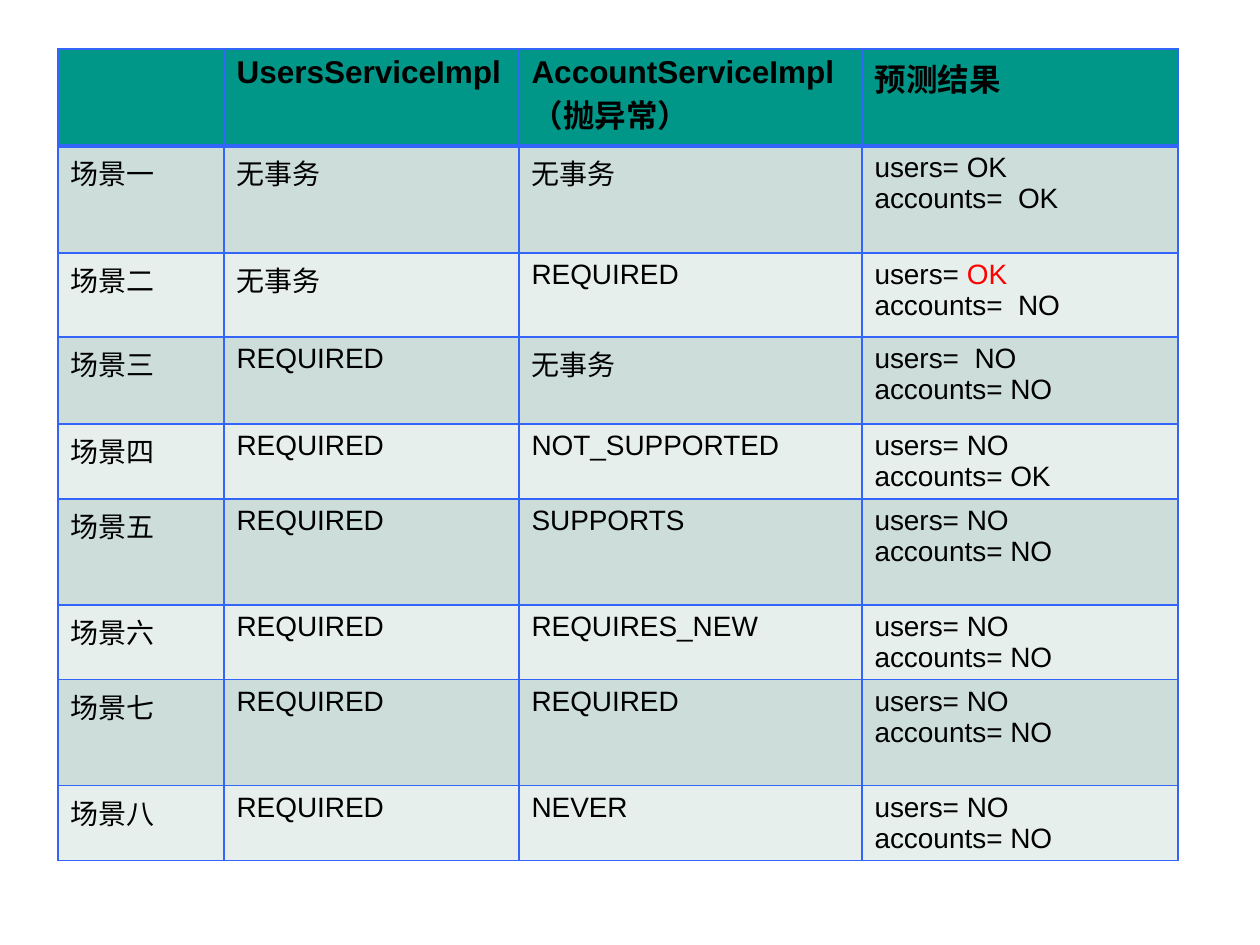
from lxml import etree
from pptx import Presentation
from pptx.dml.color import RGBColor
from pptx.oxml.ns import qn
from pptx.util import Emu, Pt

EMU_PER_PIXEL = 914400 // 126
BLANK_LAYOUT = 6
COLORS = {
    "header": "009688",
    "odd": "CCDDDA",
    "even": "E7EFED",
    "border": "3365FB",
    "text": "000000",
    "alert": "FF0000",
}
ALERT_MARK = "|"  # text after the mark is shown in the alert colour

COLUMN_WIDTHS = [166, 295, 343, 316]
ROW_HEIGHTS = [97, 107, 84, 87, 75, 106, 75, 106, 75]
HEADER = ["", "UsersServiceImpl", "AccountServiceImpl（抛异常）", "预测结果"]
SCENARIOS = [
    ("一", "无事务", "无事务", " OK", "  OK"),
    ("二", "无事务", "REQUIRED", "| OK", "  NO"),
    ("三", "REQUIRED", "无事务", "  NO", " NO"),
    ("四", "REQUIRED", "NOT_SUPPORTED", " NO", " OK"),
    ("五", "REQUIRED", "SUPPORTS", " NO", " NO"),
    ("六", "REQUIRED", "REQUIRES_NEW", " NO", " NO"),
    ("七", "REQUIRED", "REQUIRED", " NO", " NO"),
    ("八", "REQUIRED", "NEVER", " NO", " NO"),
]


def px(pixels):
    return Emu(pixels * EMU_PER_PIXEL)


class SlideBuilder:
    font = "Arial"
    header_size = 18
    body_size = 16
    thin = 1
    thick = 3

    def __init__(self, slide):
        self.slide = slide

    def table(self, left, top, widths, heights, rows):
        frame = self.slide.shapes.add_table(
            len(rows), len(widths), px(left), px(top), px(sum(widths)), px(sum(heights)))
        table = frame.table
        for column, width in zip(table.columns, widths):
            column.width = px(width)
        for index, (row, height, texts) in enumerate(zip(table.rows, heights, rows)):
            row.height = px(height)
            for cell, text in zip(row.cells, texts):
                self.cell(cell, text, index)

    def cell(self, cell, text, row_index):
        is_header = row_index == 0
        # Borders come before the fill in the cell properties
        self.border(cell, "lnL", self.thin)
        self.border(cell, "lnR", self.thin)
        self.border(cell, "lnT", self.thick if row_index == 1 else self.thin)
        self.border(cell, "lnB", self.thick if is_header else self.thin)
        fill = "header" if is_header else "odd" if row_index % 2 else "even"
        cell.fill.solid()
        cell.fill.fore_color.rgb = RGBColor.from_string(COLORS[fill])

        # Text
        size = self.header_size if is_header else self.body_size
        cell.text_frame.text = text.replace(ALERT_MARK, "")
        for paragraph, line in zip(cell.text_frame.paragraphs, text.split("\n")):
            paragraph.font.size = Pt(size)
            plain, mark, alert = line.partition(ALERT_MARK)
            if mark:
                paragraph.text = plain
                paragraph.add_run().text = alert
            for position, run in enumerate(paragraph.runs):
                run.font.name = self.font
                run.font.size = Pt(size)
                run.font.bold = is_header
                color = "alert" if position else "text"
                run.font.color.rgb = RGBColor.from_string(COLORS[color])

    def border(self, cell, side, points):
        properties = cell._tc.get_or_add_tcPr()
        line = etree.SubElement(properties, qn(f"a:{side}"), w=str(Pt(points)))
        fill = etree.SubElement(line, qn("a:solidFill"))
        etree.SubElement(fill, qn("a:srgbClr"), val=COLORS["border"])


presentation = Presentation()
presentation.slide_width = px(1260)
presentation.slide_height = px(945)
slide = presentation.slides.add_slide(presentation.slide_layouts[BLANK_LAYOUT])

# Scenario table
scenario_rows = [
    [f"场景{number}", users_mode, accounts_mode,
     f"users={users_result}\naccounts={accounts_result}"]
    for number, users_mode, accounts_mode, users_result, accounts_result in SCENARIOS
]
SlideBuilder(slide).table(58, 49, COLUMN_WIDTHS, ROW_HEIGHTS, [HEADER] + scenario_rows)

presentation.save("out.pptx")
